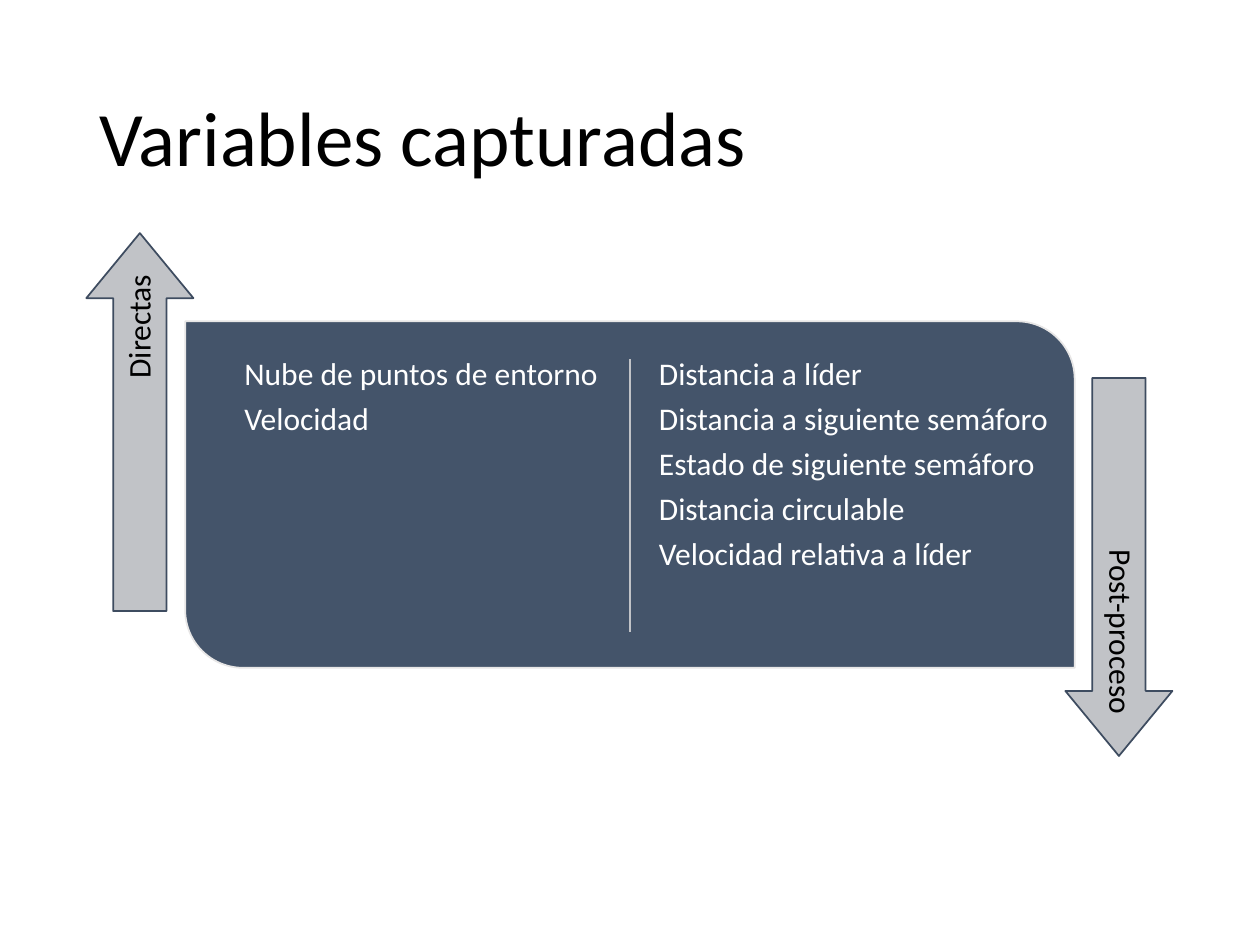
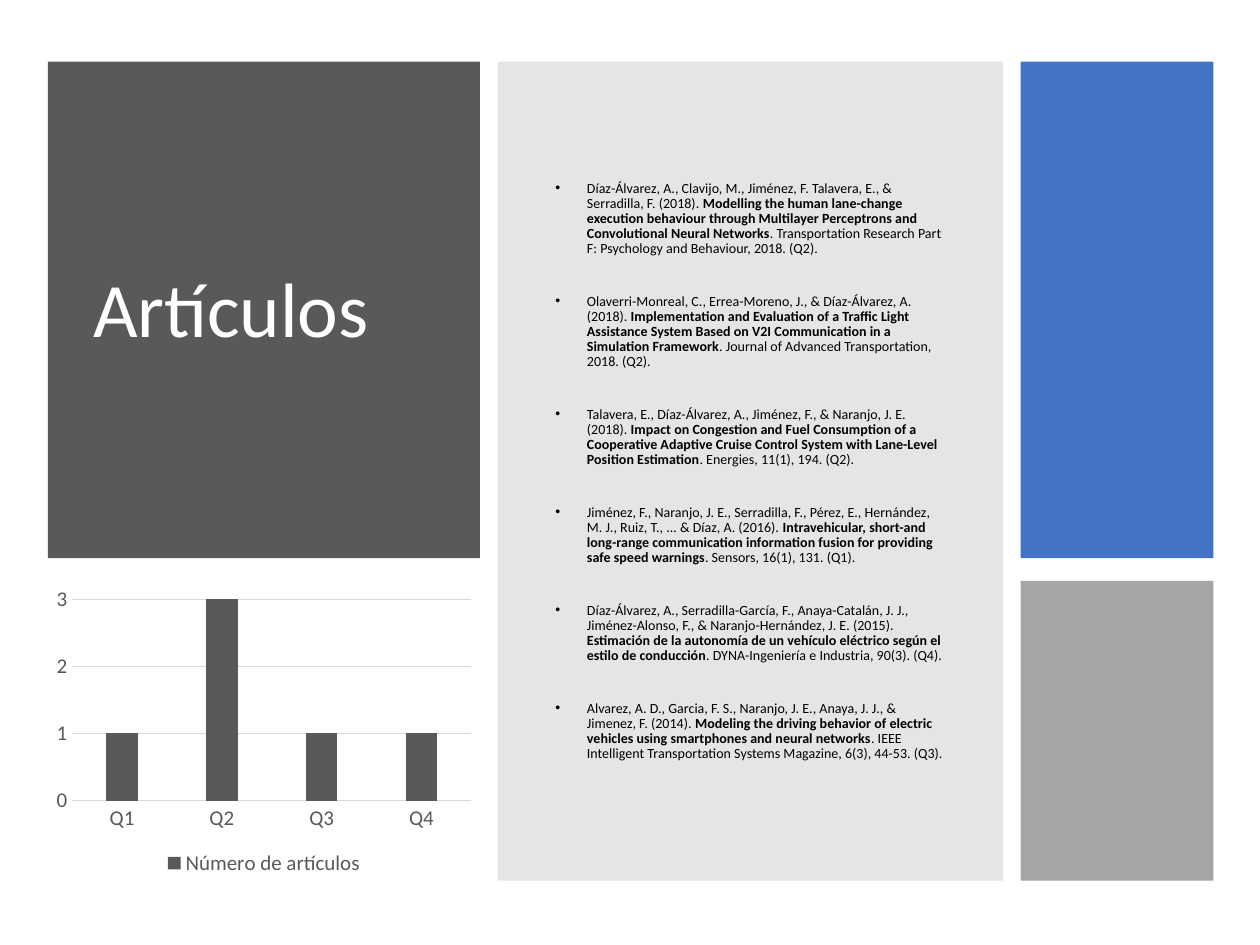
from itertools import accumulate

from lxml import etree
from pptx import Presentation
from pptx.chart.data import CategoryChartData
from pptx.dml.color import RGBColor
from pptx.enum.chart import XL_CHART_TYPE, XL_LEGEND_POSITION, XL_TICK_MARK
from pptx.enum.shapes import MSO_CONNECTOR, MSO_SHAPE
from pptx.enum.text import MSO_ANCHOR, PP_ALIGN
from pptx.oxml.ns import qn
from pptx.util import Inches, Pt

RECTANGLE = MSO_SHAPE.RECTANGLE
ROUNDED_DIAGONAL = MSO_SHAPE.ROUND_2_DIAG_RECTANGLE
RIGHT_ARROW = MSO_SHAPE.RIGHT_ARROW
STRAIGHT = MSO_CONNECTOR.STRAIGHT
TOP, MIDDLE = MSO_ANCHOR.TOP, MSO_ANCHOR.MIDDLE
LEFT, RIGHT = PP_ALIGN.LEFT, PP_ALIGN.RIGHT
COLUMNS = XL_CHART_TYPE.COLUMN_CLUSTERED
LEGEND_BOTTOM = XL_LEGEND_POSITION.BOTTOM
NO_TICKS = XL_TICK_MARK.NONE

VARIABLES_TITLE = "Variables capturadas"
VARIABLE_LISTS = [
    ["Nube de puntos de entorno", "Velocidad"],
    [
        "Distancia a líder",
        "Distancia a siguiente semáforo",
        "Estado de siguiente semáforo",
        "Distancia circulable",
        "Velocidad relativa a líder",
    ],
]
ARROWS = [
    {"label": "Directas", "center": (1.11, 3.35), "label_center": (1.115, 3.485), "rotation": 270},
    {"label": "Post-proceso", "center": (8.88, 4.5), "label_center": (8.885, 4.365), "rotation": 90},
]

ARTICLES_TITLE = "Artículos"
ARTICLES = [
    (
        "Díaz-Álvarez, A., Clavijo, M., Jiménez, F. Talavera, E., & Serradilla, F. (2018). ",
        "Modelling the human lane-change execution behaviour through Multilayer Perceptrons "
        "and Convolutional Neural Networks",
        ". Transportation Research Part F: Psychology and Behaviour, 2018. (Q2).",
    ),
    (
        "Olaverri-Monreal, C., Errea-Moreno, J., & Díaz-Álvarez, A. (2018). ",
        "Implementation and Evaluation of a Traffic Light Assistance System Based on V2I "
        "Communication in a Simulation Framework",
        ". Journal of Advanced Transportation, 2018. (Q2).",
    ),
    (
        "Talavera, E., Díaz-Álvarez, A., Jiménez, F., & Naranjo, J. E. (2018). ",
        "Impact on Congestion and Fuel Consumption of a Cooperative Adaptive Cruise Control "
        "System with Lane-Level Position Estimation",
        ". Energies, 11(1), 194. (Q2).",
    ),
    (
        "Jiménez, F., Naranjo, J. E., Serradilla, F., Pérez, E., Hernández, M. J., Ruiz, T., "
        "... & Díaz, A. (2016). ",
        "Intravehicular, short-and long-range communication information fusion for providing "
        "safe speed warnings",
        ". Sensors, 16(1), 131. (Q1).",
    ),
    (
        "Díaz-Álvarez, A., Serradilla-García, F., Anaya-Catalán, J. J., Jiménez-Alonso, F., "
        "& Naranjo-Hernández, J. E. (2015). ",
        "Estimación de la autonomía de un vehículo eléctrico según el estilo de conducción",
        ". DYNA-Ingeniería e Industria, 90(3). (Q4).",
    ),
    (
        "Alvarez, A. D., Garcia, F. S., Naranjo, J. E., Anaya, J. J., & Jimenez, F. (2014). ",
        "Modeling the driving behavior of electric vehicles using smartphones and neural networks",
        ". IEEE Intelligent Transportation Systems Magazine, 6(3), 44-53. (Q3).",
    ),
]
SERIES_NAME = "Número de artículos"
ARTICLE_COUNTS = {"Q1": 1, "Q2": 3, "Q3": 1, "Q4": 1}

FONT = "Calibri"
COLORS = {
    "black": "000000",
    "white": "FFFFFF",
    "slate": "44546A",
    "pale": "E7E6E6",
    "silver": "C1C3C7",
    "outline": "3E4C60",
    "charcoal": "595959",
    "gray": "808080",
    "blue": "4472C4",
    "ash": "A5A5A5",
    "grid": "D9D9D9",
}
TITLE = {"size": 44, "anchor": MIDDLE}
LIST = {"size": 18, "color": "white", "after": 6.3, "inset": 0.07}
LABEL = {"size": 18, "after": 6.3, "inset": 0.07, "anchor": MIDDLE, "align": RIGHT}
REFERENCES = {"size": 8, "before": 10, "after": 11.5, "anchor": MIDDLE, "bullet": 0.25}

PANEL = (1.47, 2.55, 7.06, 2.75)
LIST_BOXES = [(1.87, 2.77, 2.96, 2.34), (5.16, 2.77, 3.37, 2.34)]
ARROW_SIZE = (3, 0.85)
LABEL_SIZE = (2.75, 0.43)

COLUMN_WIDTHS, COLUMN_GAP = [3.43, 4.01, 1.53], 0.14
ROW_HEIGHTS, ROW_GAP = [3.94, 2.38], 0.18
GRID_LEFT, GRID_TOP = 0.38, 0.49


def rgb(name):
    return RGBColor.from_string(COLORS[name])


def apply(target, values):
    for name, value in values.items():
        setattr(target, name, value)


def set_font(font, size, color, bold=None):
    apply(font, {"name": FONT, "size": Pt(size), "bold": bold})
    font.color.rgb = rgb(color)


def set_line(line, color, width=1.0):
    line.color.rgb = rgb(color)
    line.width = Pt(width)


def starts(origin, sizes, gap):
    return list(accumulate((size + gap for size in sizes[:-1]), initial=origin))


def centered(center, size):
    return (center[0] - size[0] / 2, center[1] - size[1] / 2, *size)


def add_bullet(paragraph, indent):
    properties = paragraph._p.get_or_add_pPr()
    properties.set("marL", str(Inches(indent)))
    properties.set("indent", str(-Inches(indent)))
    etree.SubElement(properties, qn("a:buFont")).set("typeface", "Arial")
    etree.SubElement(properties, qn("a:buChar")).set("char", "•")


def add_text(slide, box, paragraphs, size, color="black", anchor=TOP, align=LEFT,
             before=0, after=0, inset=None, bullet=None, rotation=0):
    shape = slide.shapes.add_textbox(*map(Inches, box))
    shape.rotation = rotation
    frame = shape.text_frame
    apply(frame, {"word_wrap": True, "vertical_anchor": anchor})
    if inset is not None:
        sides = ("left", "top", "right", "bottom")
        apply(frame, {f"margin_{side}": Inches(inset) for side in sides})
    for index, runs in enumerate(paragraphs):
        paragraph = frame.add_paragraph() if index else frame.paragraphs[0]
        if bullet:
            add_bullet(paragraph, bullet)
        apply(paragraph, {
            "alignment": align,
            "line_spacing": 0.9,
            "space_before": Pt(before if index else 0),
            "space_after": Pt(after),
        })
        for position, text in enumerate(runs):
            run = paragraph.add_run()
            run.text = text
            set_font(run.font, size, color, bold=position == 1)


def add_block(slide, kind, box, fill, line=None, adjustments=(), rotation=0, alpha=None):
    shape = slide.shapes.add_shape(kind, *map(Inches, box))
    shape.shadow.inherit = False
    shape.rotation = rotation
    for index, value in enumerate(adjustments):
        shape.adjustments[index] = value
    shape.fill.solid()
    shape.fill.fore_color.rgb = rgb(fill)
    if alpha is not None:
        color = shape._element.spPr.find(".//" + qn("a:srgbClr"))
        etree.SubElement(color, qn("a:alpha")).set("val", str(alpha * 1000))
    if line:
        set_line(shape.line, line)
    else:
        shape.line.fill.background()


def add_divider(slide, x, top, bottom):
    divider = slide.shapes.add_connector(STRAIGHT, *map(Inches, (x, top, x, bottom)))
    set_line(divider.line, "silver")
    etree.SubElement(divider._element.spPr, qn("a:effectLst"))


def add_article_chart(slide, box):
    data = CategoryChartData()
    data.categories = list(ARTICLE_COUNTS)
    data.add_series(SERIES_NAME, list(ARTICLE_COUNTS.values()))
    chart = slide.shapes.add_chart(COLUMNS, *map(Inches, box), data).chart
    set_font(chart.font, 10, "black")
    apply(chart, {"has_title": False, "has_legend": True})
    apply(chart.legend, {"position": LEGEND_BOTTOM, "include_in_layout": False})
    set_font(chart.legend.font, 12, "charcoal")

    plot = chart.plots[0]
    apply(plot, {"gap_width": 219, "overlap": -27, "vary_by_categories": False})
    fill = plot.series[0].format.fill
    fill.solid()
    fill.fore_color.rgb = rgb("charcoal")

    for axis in (chart.category_axis, chart.value_axis):
        apply(axis, {"major_tick_mark": NO_TICKS, "minor_tick_mark": NO_TICKS})
        set_font(axis.tick_labels.font, 12, "charcoal")
    set_line(chart.category_axis.format.line, "grid", 0.75)
    apply(chart.value_axis, {
        "minimum_scale": 0,
        "maximum_scale": 3,
        "major_unit": 1,
        "has_major_gridlines": True,
    })
    set_line(chart.value_axis.major_gridlines.format.line, "grid", 0.75)
    chart.value_axis.format.line.fill.background()


def build_variables(slide):
    add_text(slide, (0.69, 0.4, 8.62, 1.45), [[VARIABLES_TITLE]], **TITLE)
    add_block(slide, ROUNDED_DIAGONAL, PANEL, "slate", "pale", (0, 0.167))
    add_divider(slide, PANEL[0] + PANEL[2] / 2, 2.85, 5.02)
    for box, names in zip(LIST_BOXES, VARIABLE_LISTS):
        add_text(slide, box, [[name] for name in names], **LIST)
    for arrow in ARROWS:
        add_block(slide, RIGHT_ARROW, centered(arrow["center"], ARROW_SIZE),
                  "silver", "outline", (0.498, 0.607), arrow["rotation"])
        add_text(slide, centered(arrow["label_center"], LABEL_SIZE), [[arrow["label"]]],
                 rotation=arrow["rotation"], **LABEL)


def build_articles(slide):
    left, center, right = starts(GRID_LEFT, COLUMN_WIDTHS, COLUMN_GAP)
    upper, lower = starts(GRID_TOP, ROW_HEIGHTS, ROW_GAP)
    left_width, center_width, right_width = COLUMN_WIDTHS
    upper_height, lower_height = ROW_HEIGHTS
    full_height = lower + lower_height - upper

    add_block(slide, RECTANGLE, (left, upper, left_width, upper_height), "charcoal")
    add_text(slide, (0.64, 0.83, 2.95, 3.3), [[ARTICLES_TITLE]], color="white", **TITLE)
    add_block(slide, RECTANGLE, (center, upper, center_width, full_height), "gray", alpha=20)
    add_text(slide, (4.31, 0.99, 3.29, 5.5), ARTICLES, **REFERENCES)
    add_block(slide, RECTANGLE, (right, upper, right_width, upper_height), "blue")
    add_block(slide, RECTANGLE, (right, lower, right_width, lower_height), "ash")
    add_article_chart(slide, (left, lower, left_width, lower_height))


def main():
    presentation = Presentation()
    apply(presentation, {"slide_width": Inches(10), "slide_height": Inches(7.5)})
    for build in (build_variables, build_articles):
        build(presentation.slides.add_slide(presentation.slide_layouts[6]))
    presentation.save("out.pptx")


if __name__ == "__main__":
    main()
